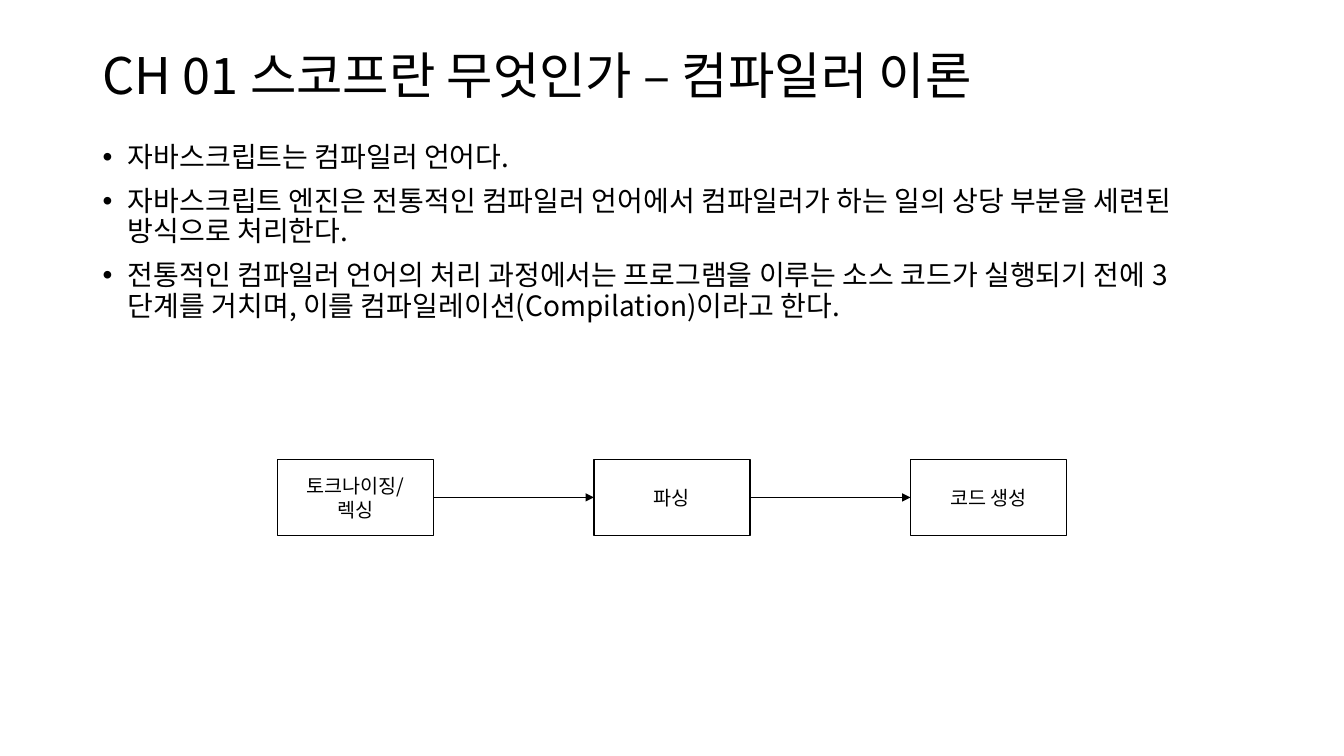
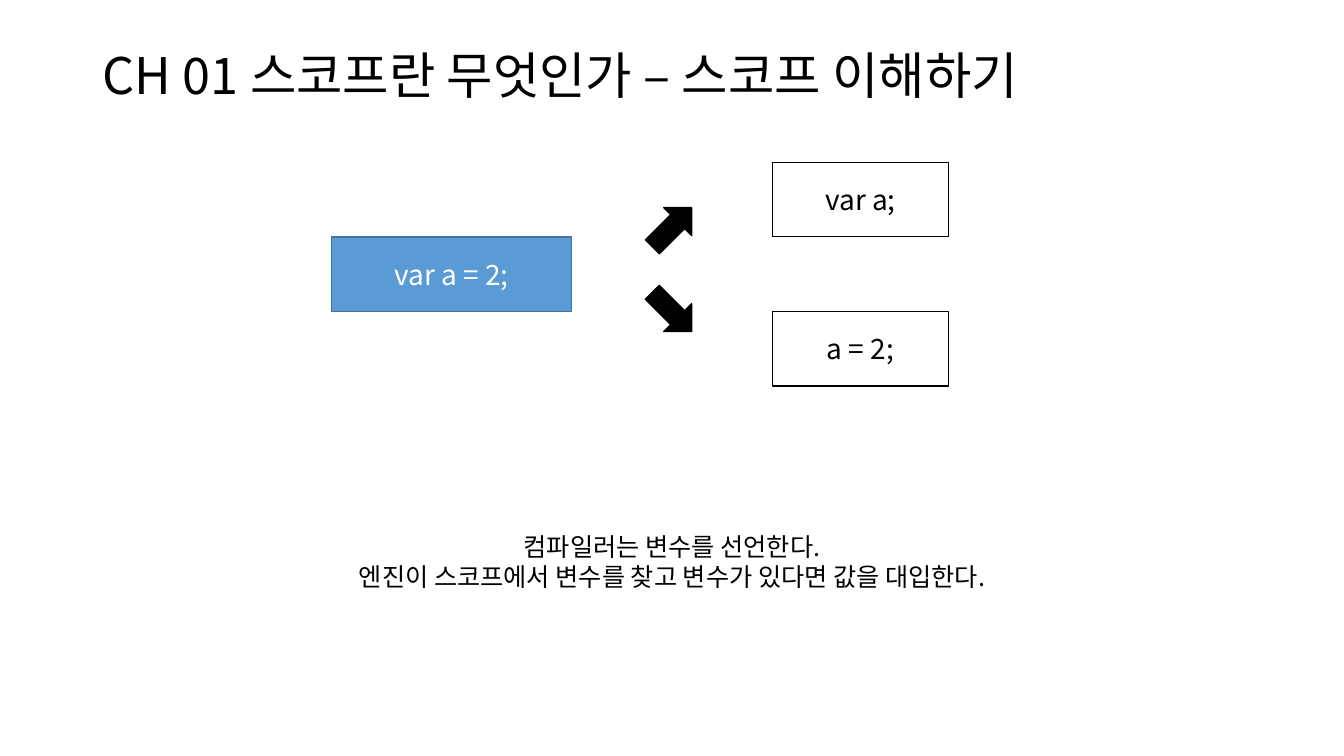
from lxml.etree import SubElement
from pptx import Presentation
from pptx.dml.color import RGBColor
from pptx.enum.shapes import MSO_CONNECTOR, MSO_SHAPE
from pptx.enum.text import MSO_ANCHOR, PP_ALIGN
from pptx.oxml.ns import qn
from pptx.util import Emu, Pt

FONT = "Noto Sans CJK KR"
BLACK, WHITE, BLUE, DARK_BLUE = "000000", "FFFFFF", "5B9BD5", "43739E"
SLIDE_SIZE = (1333, 750)
TITLE_BOX = (92, 40, 1150, 76)
CHAPTER = "CH 01 스코프란 무엇인가 – "

THEORY = "컴파일러 이론"
THEORY_POINTS = [
    "자바스크립트는 컴파일러 언어다.",
    "자바스크립트 엔진은 전통적인 컴파일러 언어에서 컴파일러가 하는 일의 상당 부분을 세련된 방식으로 처리한다.",
    "전통적인 컴파일러 언어의 처리 과정에서는 프로그램을 이루는 소스 코드가 실행되기 전에 3단계를 거치며, "
    "이를 컴파일레이션(Compilation)이라고 한다.",
]
POINTS_BOX = (92, 137, 1150, 544)
STEPS = [["토크나이징/", "렉싱"], ["파싱"], ["코드 생성"]]
STEP_LEFT, STEP_TOP, STEP_WIDTH, STEP_HEIGHT, STEP_PITCH = 275, 456, 155, 75, 314

SCOPE = "스코프 이해하기"
STATEMENT = "var a = 2;"
PARTS = ["var a;", "a = 2;"]
STATEMENT_BOX = (329, 235, 238, 74)
PART_LEFT, PART_WIDTH = 766, 175
ARROW_LEFT, ARROW_WIDTH, ARROW_HEIGHT = 639, 55, 39
ARROWS = [(206, 315), (290, 45)]  # top, rotation
SCOPE_SUMMARY = [
    "컴파일러는 변수를 선언한다.",
    "엔진이 스코프에서 변수를 찾고 변수가 있다면 값을 대입한다.",
]
SUMMARY_BOX = (292, 522, 749, 71)


def px(length):
    return Emu(length * 9144)


def color(hex_value):
    return RGBColor.from_string(hex_value)


def write(shape, lines, size, ink=BLACK, align=PP_ALIGN.CENTER,
          anchor=MSO_ANCHOR.MIDDLE, spacing=1.0, bullets=False):
    frame = shape.text_frame
    frame.word_wrap = True
    frame.vertical_anchor = anchor
    for index, line in enumerate(lines):
        paragraph = frame.paragraphs[0] if index == 0 else frame.add_paragraph()
        paragraph.alignment = align
        paragraph.line_spacing = spacing
        run = paragraph.add_run()
        run.text = line
        run.font.size = Pt(size)
        run.font.name = FONT
        run.font.color.rgb = color(ink)
        SubElement(run.font._element, qn("a:ea"), typeface=FONT)
        if bullets:
            paragraph.space_before = Pt(10)
            properties = paragraph._p.get_or_add_pPr()
            properties.set("marL", str(px(25)))
            properties.set("indent", str(px(-25)))
            SubElement(properties, qn("a:buFont"), typeface="Arial")
            SubElement(properties, qn("a:buChar"), char="•")


def add_text(slide, box, lines, size, **style):
    write(slide.shapes.add_textbox(*map(px, box)), lines, size, **style)


def add_filled(shapes, kind, box, fill=WHITE, outline=BLACK):
    shape = shapes.add_shape(kind, *map(px, box))
    shape.shadow.inherit = False
    shape.fill.solid()
    shape.fill.fore_color.rgb = color(fill)
    shape.line.color.rgb = color(outline)
    shape.line.width = Pt(1)
    return shape


def add_arrow(slide, source, target):
    """Join the right side of source to the left side of target."""
    arrow = slide.shapes.add_connector(MSO_CONNECTOR.STRAIGHT, 0, 0, 0, 0)
    arrow.begin_connect(source, 3)
    arrow.end_connect(target, 1)
    arrow.line.color.rgb = color(BLACK)
    arrow.line.width = Pt(0.5)
    SubElement(arrow.line._get_or_add_ln(), qn("a:tailEnd"), type="triangle")
    SubElement(arrow._element.spPr, qn("a:effectLst"))


def add_slide(deck, topic):
    slide = deck.slides.add_slide(deck.slide_layouts[6])
    add_text(slide, TITLE_BOX, [CHAPTER + topic], 36, align=PP_ALIGN.LEFT, spacing=0.9)
    return slide


def build_theory(deck):
    slide = add_slide(deck, THEORY)
    add_text(slide, POINTS_BOX, THEORY_POINTS, 20, align=PP_ALIGN.LEFT,
             anchor=MSO_ANCHOR.TOP, spacing=0.9, bullets=True)
    steps = []
    for index, label in enumerate(STEPS):
        box = (STEP_LEFT + index * STEP_PITCH, STEP_TOP, STEP_WIDTH, STEP_HEIGHT)
        step = add_filled(slide.shapes, MSO_SHAPE.FLOWCHART_PROCESS, box)
        write(step, label, 14)
        steps.append(step)
    for source, target in zip(steps, steps[1:]):
        add_arrow(slide, source, target)


def build_scope(deck):
    slide = add_slide(deck, SCOPE)
    statement = add_filled(slide.shapes, MSO_SHAPE.RECTANGLE, STATEMENT_BOX, BLUE, DARK_BLUE)
    write(statement, [STATEMENT], 20, ink=WHITE)
    fork = slide.shapes.add_group_shape()
    for top, rotation in ARROWS:
        box = (ARROW_LEFT, top, ARROW_WIDTH, ARROW_HEIGHT)
        add_filled(fork.shapes, MSO_SHAPE.RIGHT_ARROW, box, BLACK).rotation = rotation
    _, middle, _, height = STATEMENT_BOX
    for code, top in zip(PARTS, (middle - height, middle + height)):
        part = add_filled(slide.shapes, MSO_SHAPE.RECTANGLE, (PART_LEFT, top, PART_WIDTH, height))
        write(part, [code], 20)
    add_text(slide, SUMMARY_BOX, SCOPE_SUMMARY, 18, anchor=MSO_ANCHOR.TOP)


def main():
    deck = Presentation()
    deck.slide_width, deck.slide_height = map(px, SLIDE_SIZE)
    build_theory(deck)
    build_scope(deck)
    deck.save("out.pptx")


if __name__ == "__main__":
    main()
